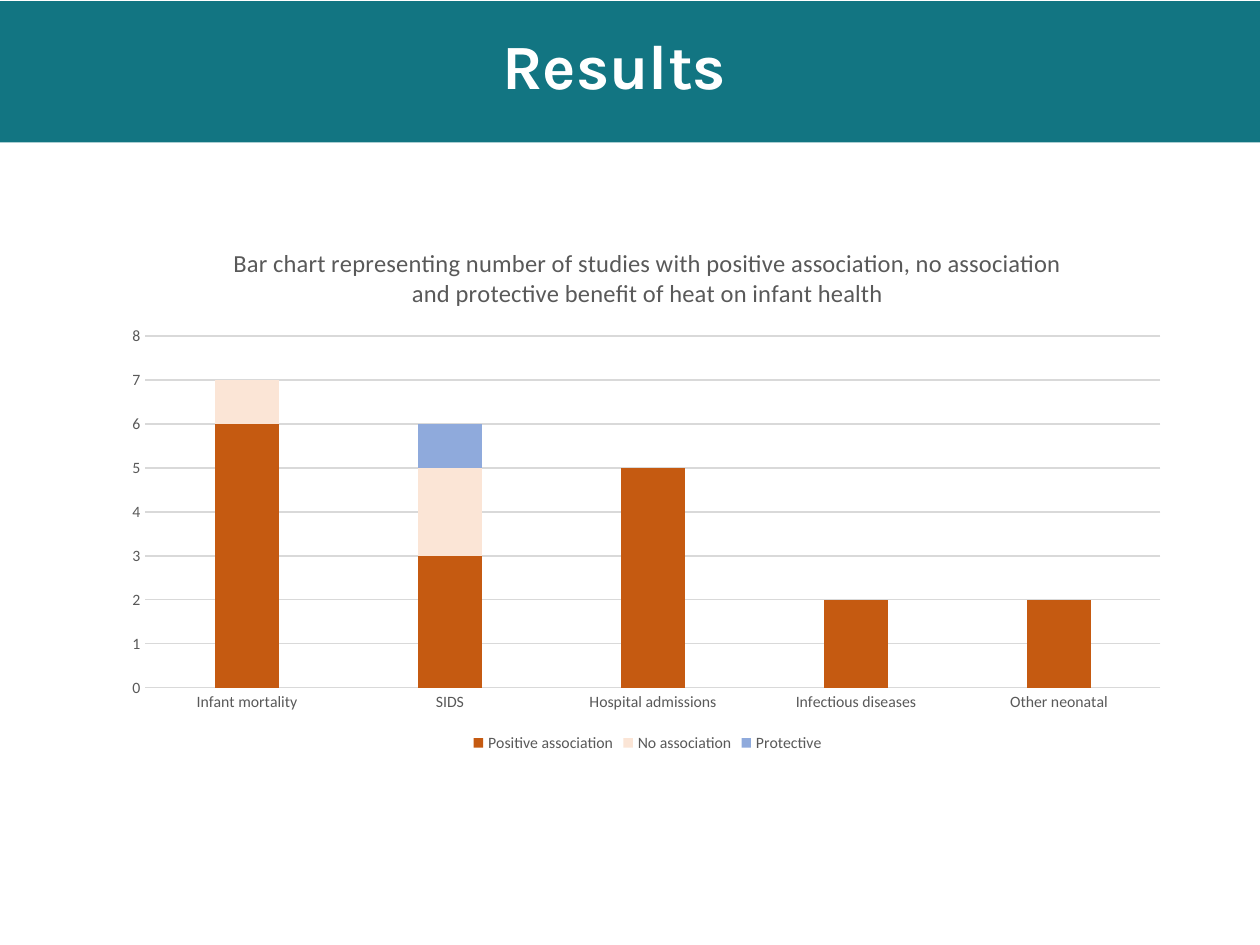
import pptx
import pptx.chart.data
import pptx.dml.color
import pptx.enum.chart
import pptx.enum.text
import pptx.oxml
import pptx.oxml.ns
import pptx.util

Inches, Pt = pptx.util.Inches, pptx.util.Pt
RGBColor = pptx.dml.color.RGBColor

TEAL = RGBColor(0x12, 0x75, 0x82)
WHITE = RGBColor(0xFF, 0xFF, 0xFF)
GREY = RGBColor(0x59, 0x59, 0x59)
LIGHT_GREY = RGBColor(0xD9, 0xD9, 0xD9)
ORANGE = RGBColor(0xC5, 0x5A, 0x11)
PEACH = RGBColor(0xFB, 0xE5, 0xD6)
BLUE = RGBColor(0x8F, 0xAA, 0xDC)

HEADING = "Results"
CHART_TITLE = ("Bar chart representing number of studies with positive association, "
               "no association and protective benefit of heat on infant health")
OUTCOMES = ["Infant mortality", "SIDS", "Hospital admissions",
            "Infectious diseases", "Other neonatal"]
FINDINGS = [
    ("Positive association", [6, 3, 5, 2, 2], ORANGE),
    ("No association", [1, 2, None, None, None], PEACH),
    ("Protective", [0, 1, None, None, None], BLUE),
]
HEADING_FONT = {"name": "Karla", "size": Pt(36), "bold": True}
TITLE_FONT = {"name": "Calibri", "size": Pt(14), "bold": False}
LABEL_FONT = {"name": "Calibri", "size": Pt(9), "bold": False}
PLOT_AREA = {"x": 0.03, "y": 0.21, "w": 0.95, "h": 0.66}


def set_attributes(target, values):
    for name, value in values.items():
        setattr(target, name, value)


def set_font(font, values, color):
    set_attributes(font, values)
    font.color.rgb = color


def set_line(line, color):
    line.color.rgb = color
    line.width = Pt(0.75)


def place_plot(chart, fractions):
    """Fix the inner plot area, in fractions of the chart's size."""
    plot_area = chart.plots[0]._element.getparent()
    for old in plot_area.findall(pptx.oxml.ns.qn("c:layout")):
        plot_area.remove(old)
    sizes = "".join(f'<c:{k} val="{v}"/>' for k, v in fractions.items())
    plot_area.insert(0, pptx.oxml.parse_xml(
        f'<c:layout {pptx.oxml.ns.nsdecls("c")}><c:manualLayout>'
        '<c:layoutTarget val="inner"/><c:xMode val="edge"/><c:yMode val="edge"/>'
        f'{sizes}</c:manualLayout></c:layout>'))


def add_heading(slide):
    heading = slide.shapes.title
    set_attributes(heading, {"left": 0, "top": Inches(0.01),
                             "width": Inches(10), "height": Inches(1.12)})
    heading.fill.solid()
    heading.fill.fore_color.rgb = TEAL
    frame = heading.text_frame
    set_attributes(frame, {
        "text": HEADING, "word_wrap": True,
        "auto_size": pptx.enum.text.MSO_AUTO_SIZE.NONE,
        "vertical_anchor": pptx.enum.text.MSO_ANCHOR.TOP,
        "margin_left": 0, "margin_right": Inches(0.25),
        "margin_top": Inches(0.2), "margin_bottom": 0})
    paragraph = frame.paragraphs[0]
    set_attributes(paragraph, {"alignment": pptx.enum.text.PP_ALIGN.CENTER,
                               "line_spacing": 1.0, "space_before": Pt(0)})
    set_font(paragraph.runs[0].font, HEADING_FONT, WHITE)


def add_findings_chart(slide):
    data = pptx.chart.data.CategoryChartData()
    data.categories = OUTCOMES
    for name, counts, _ in FINDINGS:
        data.add_series(name, counts)
    chart = slide.shapes.add_chart(
        pptx.enum.chart.XL_CHART_TYPE.COLUMN_STACKED,
        Inches(0.9), Inches(1.78), Inches(8.48), Inches(4.23), data).chart

    title = chart.chart_title.text_frame
    title.text = CHART_TITLE
    set_font(title.paragraphs[0].runs[0].font, TITLE_FONT, GREY)

    plot = chart.plots[0]
    set_attributes(plot, {"gap_width": 219, "overlap": 100, "vary_by_categories": False})
    for series, (_, _, color) in zip(plot.series, FINDINGS):
        series.format.fill.solid()
        series.format.fill.fore_color.rgb = color

    counts_axis, outcomes_axis = chart.value_axis, chart.category_axis
    for axis in (counts_axis, outcomes_axis):
        axis.major_tick_mark = pptx.enum.chart.XL_TICK_MARK.NONE
        set_font(axis.tick_labels.font, LABEL_FONT, GREY)
    set_attributes(counts_axis, {"minimum_scale": 0, "maximum_scale": 8, "major_unit": 1})
    counts_axis.format.line.fill.background()
    set_line(counts_axis.major_gridlines.format.line, LIGHT_GREY)
    set_line(outcomes_axis.format.line, LIGHT_GREY)

    chart.has_legend = True
    set_attributes(chart.legend, {
        "position": pptx.enum.chart.XL_LEGEND_POSITION.BOTTOM,
        "include_in_layout": False})
    set_font(chart.legend.font, LABEL_FONT, GREY)
    place_plot(chart, PLOT_AREA)


def main():
    presentation = pptx.Presentation()
    set_attributes(presentation, {"slide_width": Inches(10), "slide_height": Inches(7.5)})
    slide = presentation.slides.add_slide(presentation.slide_layouts[5])
    add_heading(slide)
    add_findings_chart(slide)
    presentation.save("out.pptx")


if __name__ == "__main__":
    main()
